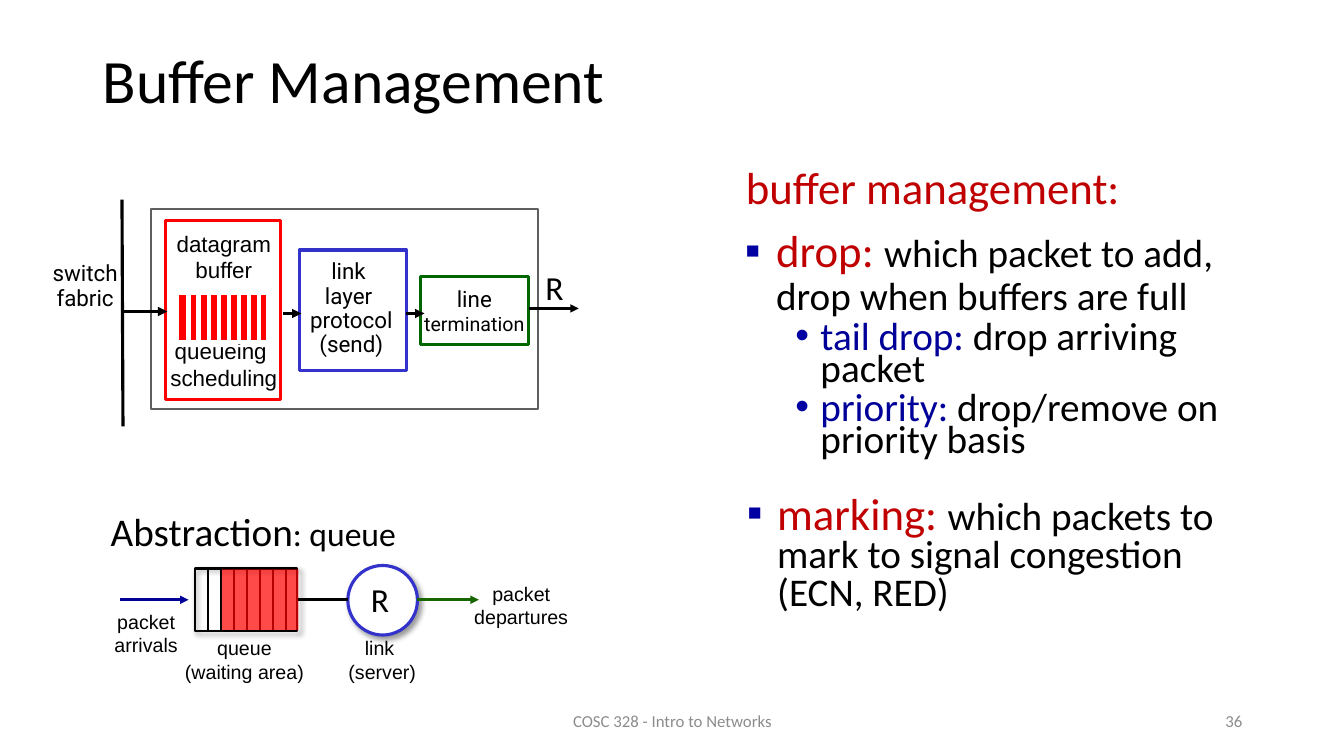
from lxml import etree
from pptx import Presentation
from pptx import util as u
from pptx.dml.color import RGBColor
from pptx.enum import shapes, text
from pptx.oxml import parse_xml
from pptx.oxml.ns import qn, nsdecls

BLACK = RGBColor(0x00, 0x00, 0x00)
WHITE = RGBColor(0xFF, 0xFF, 0xFF)
RED = RGBColor(0xFF, 0x00, 0x00)
CRIMSON = RGBColor(0xC0, 0x00, 0x00)
NAVY = RGBColor(0x00, 0x00, 0x99)
BLUE = RGBColor(0x33, 0x33, 0xCC)
GREEN = RGBColor(0x00, 0x66, 0x00)
ARROW_GREEN = RGBColor(0x18, 0x66, 0x00)
FRAME_GRAY = RGBColor(0x5F, 0x5F, 0x5F)
FOOTER_GRAY = RGBColor(0x8C, 0x8C, 0x8C)
BULLET_BLUE = RGBColor(0x00, 0x00, 0xA3)

RECT = shapes.MSO_SHAPE.RECTANGLE
OVAL = shapes.MSO_SHAPE.OVAL
LEFT, CENTER, RIGHT = text.PP_ALIGN.LEFT, text.PP_ALIGN.CENTER, text.PP_ALIGN.RIGHT
MIDDLE, TOP = text.MSO_ANCHOR.MIDDLE, text.MSO_ANCHOR.TOP


def set_all(target, values):
    for name, value in values.items():
        setattr(target, name, value)


def add_run(p, words, size, color=BLACK, font="Calibri"):
    r = p.add_run()
    r.text = words
    set_all(r.font, {"size": u.Pt(size), "name": font})
    r.font.color.rgb = color


def add_bullet(p, char, margin, indent):
    pPr = p._p.get_or_add_pPr()
    pPr.set("marL", str(u.Inches(margin)))
    pPr.set("indent", str(u.Inches(indent)))
    if char:
        color = etree.SubElement(pPr, qn("a:buClr"))
        etree.SubElement(color, qn("a:srgbClr")).set("val", str(BULLET_BLUE))
        etree.SubElement(pPr, qn("a:buFont")).set("typeface", "Arial")
        etree.SubElement(pPr, qn("a:buChar")).set("char", char)


def add_text(s, box, lines, anchor=TOP, align=LEFT, wrap=False):
    tb = s.shapes.add_textbox(*map(u.Inches, box))
    tf = tb.text_frame
    set_all(tf, {"word_wrap": wrap, "vertical_anchor": anchor})
    if align == CENTER:
        set_all(tf, {"margin_left": 0, "margin_right": 0})
    for i, line in enumerate(lines):
        p = tf.paragraphs[0] if i == 0 else tf.add_paragraph()
        if "bullet" in line:
            add_bullet(p, *line["bullet"])
        set_all(p, {"alignment": align, **line.get("format", {})})
        for run in line["runs"]:
            add_run(p, *run)


def add_label(s, box, words, size, font="Arial", spacing=1.0, anchor=TOP):
    lines = [{"runs": [(w, size, BLACK, font)], "format": {"line_spacing": spacing}}
             for w in words]
    add_text(s, box, lines, anchor, CENTER)


def add_box(s, box, fill=WHITE, line=None, width=2.25, kind=RECT, shadow=False):
    sp = s.shapes.add_shape(kind, *map(u.Inches, box))
    sp.shadow.inherit = False
    if fill is None:
        sp.fill.background()
    else:
        sp.fill.solid()
        sp.fill.fore_color.rgb = fill
    if line is None:
        sp.line.fill.background()
    else:
        sp.line.color.rgb = line
        sp.line.width = u.Pt(width)
    if shadow:
        effects = sp._element.spPr.find(qn("a:effectLst"))
        effects.append(parse_xml(
            f'<a:outerShdw {nsdecls("a")} blurRad="50800" dist="38100" dir="2700000" '
            'algn="tl" rotWithShape="0"><a:srgbClr val="000000">'
            '<a:alpha val="40000"/></a:srgbClr></a:outerShdw>'))
    return sp


def add_line(s, x1, y1, x2, y2, color=BLACK, width=2.25, arrow=False):
    c = s.shapes.add_connector(shapes.MSO_CONNECTOR.STRAIGHT,
                               *map(u.Inches, (x1, y1, x2, y2)))
    c.line.color.rgb = color
    c.line.width = u.Pt(width)
    if arrow:
        etree.SubElement(c.line._get_or_add_ln(), qn("a:tailEnd")).set("type", "triangle")
    etree.SubElement(c._element.spPr, qn("a:effectLst"))


def datagram_buffer(s, x, y):
    add_box(s, (x + 0.07, y, 1.14, 1.77), line=RED)
    words = ["datagram", "buffer", "queueing ", "scheduling"]
    lines = [{"runs": [(w, 16, BLACK, "Arial")]} for w in words]
    lines[2]["format"] = {"space_before": u.Pt(38.5)}
    add_text(s, (x, y + 0.04, 1.3, 1.72), lines, align=CENTER)
    add_box(s, (x + 0.18, y + 0.72, 0.91, 0.48), RED, WHITE, 3)
    for i in range(8):
        gap = x + 0.3 + 0.1 * i
        add_line(s, gap, y + 0.73, gap, y + 1.19, WHITE, 3)


def output_port(s, x, y):
    add_box(s, (x + 1.14, y + 0.09, 3.84, 1.99), line=FRAME_GRAY, width=1.5)
    termination = (x + 3.81, y + 0.76, 1.07, 0.68)
    add_box(s, termination, line=GREEN)
    add_text(s, termination, [{"runs": [("line", 16, BLACK, "Roboto")]},
                              {"runs": [("termination", 14, BLACK, "Roboto")]}],
             MIDDLE, CENTER)
    add_box(s, (x + 2.61, y + 0.5, 1.06, 1.2), line=BLUE)
    for left in (2.45, 3.67):
        add_line(s, x + left, y + 1.13, x + left + 0.18, y + 1.13, arrow=True)
    add_label(s, (x + 2.64, y + 0.66, 0.97, 0.85),
              ["link ", "layer ", "protocol", "(send)"], 16, "Roboto", 0.9, MIDDLE)
    add_label(s, (x, y + 0.44, 0.97, 0.85),
              ["switch", "fabric"], 16, "Roboto", 0.9, MIDDLE)
    datagram_buffer(s, x + 1.21, y + 0.21)
    add_line(s, x + 0.85, y, x + 0.86, y + 2.25)
    add_line(s, x + 0.84, y + 1.11, x + 1.3, y + 1.11, arrow=True)
    add_line(s, x + 4.89, y + 1.08, x + 5.38, y + 1.08, width=2, arrow=True)
    add_text(s, (x + 4.95, y + 0.62, 0.38, 0.5), [{"runs": [("R", 24)]}])


def queue_model(s, x, y):
    add_text(s, (x, y, 3.07, 0.57),
             [{"runs": [("Abstraction", 28), (": queue", 24)]}])
    add_box(s, (x + 0.93, y + 0.66, 1.02, 0.62), None, BLACK, 1.5, shadow=True)
    for i in range(7):
        slot = x + 1.06 + 0.13 * i
        add_line(s, slot, y + 0.66, slot, y + 1.27, width=1.5)
    waiting = add_box(s, (x + 1.2, y + 0.67, 0.76, 0.6), RED)
    color = waiting._element.spPr.find(qn("a:solidFill"))[0]
    etree.SubElement(color, qn("a:alpha")).set("val", "71000")
    add_box(s, (x + 2.45, y + 0.63, 0.69, 0.69), line=BLUE, kind=OVAL, shadow=True)
    axis = y + 0.97
    for start, end, color, arrow in ((0.19, 0.87, NAVY, True),
                                     (1.96, 2.45, BLACK, False),
                                     (3.14, 3.75, ARROW_GREEN, True)):
        add_line(s, x + start, axis, x + end, axis, color, 2, arrow)
    for left, top, width, words in ((0.73, 1.28, 1.39, ["queue", "(waiting area)"]),
                                    (0.03, 1.02, 0.84, ["packet", "arrivals"]),
                                    (3.6, 0.74, 1.14, ["packet", "departures"]),
                                    (2.3, 1.28, 0.93, ["link", " (server)"])):
        add_label(s, (x + left, y + top, width, 0.57), words, 14)
    add_text(s, (x + 2.58, y + 0.71, 0.38, 0.5), [{"runs": [("R", 24)]}])


def policy_notes(s, x, y):
    body = {"line_spacing": 0.9}
    sub = {"level": 1, "line_spacing": u.Pt(22.8), "space_before": u.Pt(5)}
    lines = [
        {"runs": [("buffer management:", 32, CRIMSON)],
         "bullet": (None, 0.26, -0.24), "format": body},
        {"runs": [("drop: ", 32, CRIMSON),
                  ("which packet to add, drop when buffers are full", 28)],
         "bullet": ("▪", 0.32, -0.31), "format": {**body, "space_before": u.Pt(10)}}]
    for name, action in (("tail drop: ", "drop arriving packet"),
                         ("priority: ", "drop/remove on priority basis")):
        lines.append({"runs": [(name, 28, NAVY), (action, 28)],
                      "bullet": ("•", 0.76, -0.25), "format": sub})
    add_text(s, (x, y, 5.43, 5.48), lines, wrap=True)
    marking = {"runs": [("marking: ", 32, CRIMSON),
                        ("which packets to mark to signal congestion (ECN, RED)", 28)],
               "bullet": ("▪", 0.45, -0.3), "format": {"line_spacing": 0.8}}
    add_text(s, (x - 0.12, y + 3.27, 5.43, 1.33), [marking], wrap=True)


def title_and_footer(s):
    add_text(s, (0.92, 0.34, 11.5, 0.98),
             [{"runs": [("Buffer Management", 44)], "format": {"line_spacing": 0.9}}],
             MIDDLE, wrap=True)
    for left, width, words, align in ((4.42, 4.5, "COSC 328 - Intro to Networks", CENTER),
                                      (9.42, 3, "36", RIGHT)):
        add_text(s, (left, 6.95, width, 0.4),
                 [{"runs": [(words, 12, FOOTER_GRAY)]}], MIDDLE, align, True)


def main():
    prs = Presentation()
    set_all(prs, {"slide_width": u.Inches(13.33), "slide_height": u.Inches(7.5)})
    s = prs.slides.add_slide(prs.slide_layouts[6])
    title_and_footer(s)
    output_port(s, 0.36, 1.98)
    policy_notes(s, 7.28, 1.6)
    queue_model(s, 1, 4.98)
    prs.save("out.pptx")


if __name__ == "__main__":
    main()
